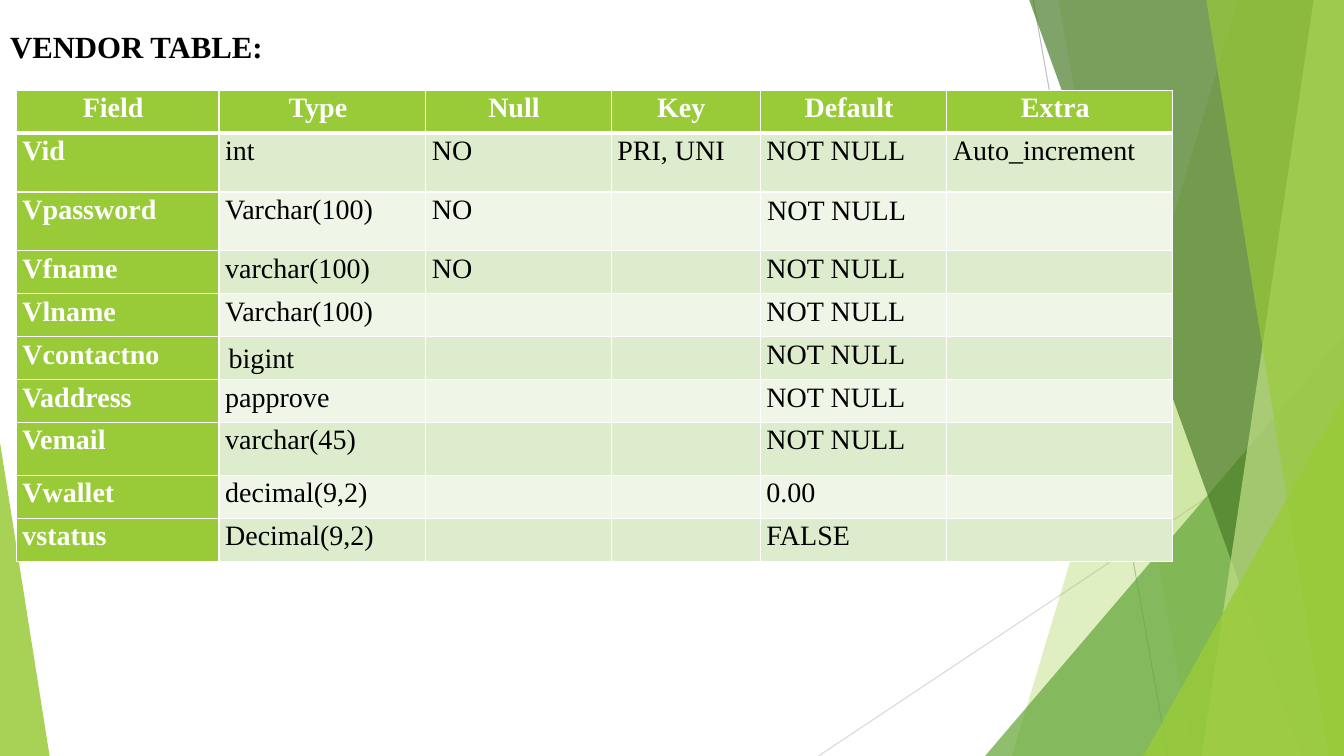
from lxml.etree import SubElement
from pptx import Presentation
from pptx.dml.color import RGBColor
from pptx.enum.shapes import MSO_CONNECTOR, MSO_SHAPE
from pptx.enum.text import MSO_ANCHOR, MSO_AUTO_SIZE, PP_ALIGN
from pptx.oxml.ns import qn
from pptx.util import Inches, Pt

SLIDE_WIDTH, SLIDE_HEIGHT = Inches(13.33), Inches(7.5)
FONT = "Times New Roman"
WHITE = RGBColor(0xFF, 0xFF, 0xFF)
BLACK = RGBColor(0x00, 0x00, 0x00)
LIME = RGBColor(0x99, 0xCB, 0x38)
PALE_LIME = RGBColor(0xC2, 0xE0, 0x88)
GREEN = RGBColor(0x63, 0xA5, 0x37)
DARK_GREEN = RGBColor(0x4A, 0x7C, 0x29)
ROW_BANDS = (RGBColor(0xDE, 0xEC, 0xCE), RGBColor(0xEF, 0xF6, 0xE8))
GRAY = RGBColor(0xBF, 0xBF, 0xBF)
LIGHT_GRAY = RGBColor(0xD9, 0xD9, 0xD9)

COLUMN_SHARES = (15.08, 15.38, 13.8, 11.1, 13.88, 16.8)
ROW_SHARES = (5.6, 7.8, 7.8, 5.69, 5.69, 5.69, 5.69, 6.93, 5.69, 5.69)
VENDOR_ROWS = (
    ("Field ", "Type ", "Null ", "Key ", "Default ", "Extra "),
    ("Vid", "int", "NO", "PRI, UNI", "NOT NULL", "Auto_increment "),
    ("Vpassword", "Varchar(100)", "NO", "", "", ""),
    ("Vfname", "varchar(100)", "NO", "", "NOT NULL", ""),
    ("Vlname", "Varchar(100)", "", "", "NOT NULL", ""),
    ("Vcontactno", "", "", "", "NOT NULL", ""),
    ("Vaddress", "papprove", "", "", "NOT NULL", ""),
    ("Vemail", "varchar(45)", "", "", "NOT NULL", ""),
    ("Vwallet", "decimal(9,2)", "", "", "0.00", ""),
    ("vstatus", "Decimal(9,2)", "", "", "FALSE", ""),
)


def across(percent):
    """Length as a percentage of the slide's width."""
    return round(SLIDE_WIDTH * percent / 100)


def down(percent):
    """Length as a percentage of the slide's height."""
    return round(SLIDE_HEIGHT * percent / 100)


def paint(shape, color, opacity):
    shape.shadow.inherit = False
    shape.fill.solid()
    shape.fill.fore_color.rgb = color
    color_element = shape.fill._xPr.find(qn("a:solidFill"))[0]
    SubElement(color_element, qn("a:alpha"), val=str(opacity * 1000))
    shape.line.fill.background()


def add_hairline(slide, start, end, color):
    connector = slide.shapes.add_connector(
        MSO_CONNECTOR.STRAIGHT,
        across(start[0]), down(start[1]), across(end[0]), down(end[1]))
    connector.line.color.rgb = color
    connector.line.width = Pt(0.75)
    SubElement(connector._element.spPr, qn("a:effectLst"))


def add_panel(slide, top_x, bottom_x, color, opacity):
    """Full-height panel with a slanted left edge, reaching the right edge."""
    builder = slide.shapes.build_freeform(across(top_x), 0)
    builder.add_line_segments([
        (SLIDE_WIDTH, 0), (SLIDE_WIDTH, SLIDE_HEIGHT),
        (across(bottom_x), SLIDE_HEIGHT)], close=True)
    paint(builder.convert_to_shape(), color, opacity)


def add_corner(slide, left, right, top, apex, color, opacity):
    """Triangle standing on the bottom edge; apex is 0 for left, 1 for right."""
    triangle = slide.shapes.add_shape(
        MSO_SHAPE.ISOSCELES_TRIANGLE, across(left), down(top),
        across(right - left), down(100 - top))
    triangle.adjustments[0] = apex
    paint(triangle, color, opacity)


def add_backdrop(slide):
    add_hairline(slide, (76.88, 0), (86.9, 100), GRAY)
    add_hairline(slide, (100, 53.75), (60.9, 100), LIGHT_GRAY)
    add_panel(slide, 92.11, 75.3, LIME, 30)
    add_panel(slide, 78.75, 88.75, LIME, 20)
    add_corner(slide, 73.3, 100, 44.4, 1, GREEN, 72)
    add_panel(slide, 76.58, 96.85, DARK_GREEN, 70)
    add_panel(slide, 97.75, 89.42, PALE_LIME, 70)
    add_panel(slide, 89.75, 98.86, LIME, 65)
    add_corner(slide, 85.07, 100, 52.4, 1, LIME, 80)
    add_corner(slide, 0, 3.69, 58.53, 0, LIME, 85)


def add_run(paragraph, text, size, color, bold):
    run = paragraph.add_run()
    run.text = text
    run.font.name = FONT
    run.font.size = Pt(size)
    run.font.bold = bold
    run.font.color.rgb = color


def write_value(paragraph, text, indent, color=BLACK, bold=False):
    paragraph.line_spacing = 1.07
    paragraph.space_after = Pt(5.5)
    properties = paragraph._p.get_or_add_pPr()
    properties.set("marL", str(Inches(indent)))
    properties.set("indent", str(Inches(-0.01)))
    add_run(paragraph, text, 20, color, bold)


def set_borders(cell, top, bottom):
    properties = cell._tc.get_or_add_tcPr()
    for side, width in (("L", 1), ("R", 1), ("T", top), ("B", bottom)):
        border = SubElement(properties, qn(f"a:ln{side}"), w=str(Pt(width)))
        fill = SubElement(border, qn("a:solidFill"))
        SubElement(fill, qn("a:srgbClr"), val=str(WHITE))


def add_vendor_table(slide):
    table = slide.shapes.add_table(
        len(ROW_SHARES), len(COLUMN_SHARES), across(1.22), down(12),
        across(sum(COLUMN_SHARES)), down(sum(ROW_SHARES))).table
    table.first_col = True
    for column, share in zip(table.columns, COLUMN_SHARES):
        column.width = across(share)
    for row_index, values in enumerate(VENDOR_ROWS):
        table.rows[row_index].height = down(ROW_SHARES[row_index])
        is_header = row_index == 0
        for column_index, value in enumerate(values):
            cell = table.cell(row_index, column_index)
            is_heading = is_header or column_index == 0
            cell.margin_left = cell.margin_top = cell.margin_bottom = 0
            cell.margin_right = Inches(0.04)
            set_borders(cell, 3 if row_index == 1 else 1, 3 if is_header else 1)
            cell.fill.solid()
            cell.fill.fore_color.rgb = (
                LIME if is_heading else ROW_BANDS[(row_index - 1) % 2])
            if value:
                paragraph = cell.text_frame.paragraphs[0]
                paragraph.alignment = PP_ALIGN.CENTER if is_header else PP_ALIGN.LEFT
                write_value(paragraph, value, 0.03 if is_header else 0.07,
                            WHITE if is_heading else BLACK, is_heading)


def add_floating_value(slide, text, left, top, width, indent):
    box = slide.shapes.add_textbox(
        across(left), down(top), across(width), down(5.87))
    box.text_frame.word_wrap = True
    write_value(box.text_frame.paragraphs[0], text, indent)


def set_title(slide, text):
    title = slide.shapes.title
    title.left, title.top = 0, down(2.93)
    title.width, title.height = across(21.08), down(6.4)
    frame = title.text_frame
    frame.auto_size = MSO_AUTO_SIZE.NONE
    frame.word_wrap = False
    frame.vertical_anchor = MSO_ANCHOR.MIDDLE
    paragraph = frame.paragraphs[0]
    paragraph.alignment = PP_ALIGN.LEFT
    add_run(paragraph, text, 22, BLACK, True)


def main():
    presentation = Presentation()
    presentation.slide_width = SLIDE_WIDTH
    presentation.slide_height = SLIDE_HEIGHT
    slide = presentation.slides.add_slide(presentation.slide_layouts[5])
    set_title(slide, "VENDOR TABLE:")
    add_backdrop(slide)
    add_vendor_table(slide)
    add_floating_value(slide, "NOT NULL", 55.81, 24.53, 12.53, 0.08)
    add_floating_value(slide, "bigint", 11.78, 44.13, 17.25, 0.61)
    presentation.save("out.pptx")


if __name__ == "__main__":
    main()
